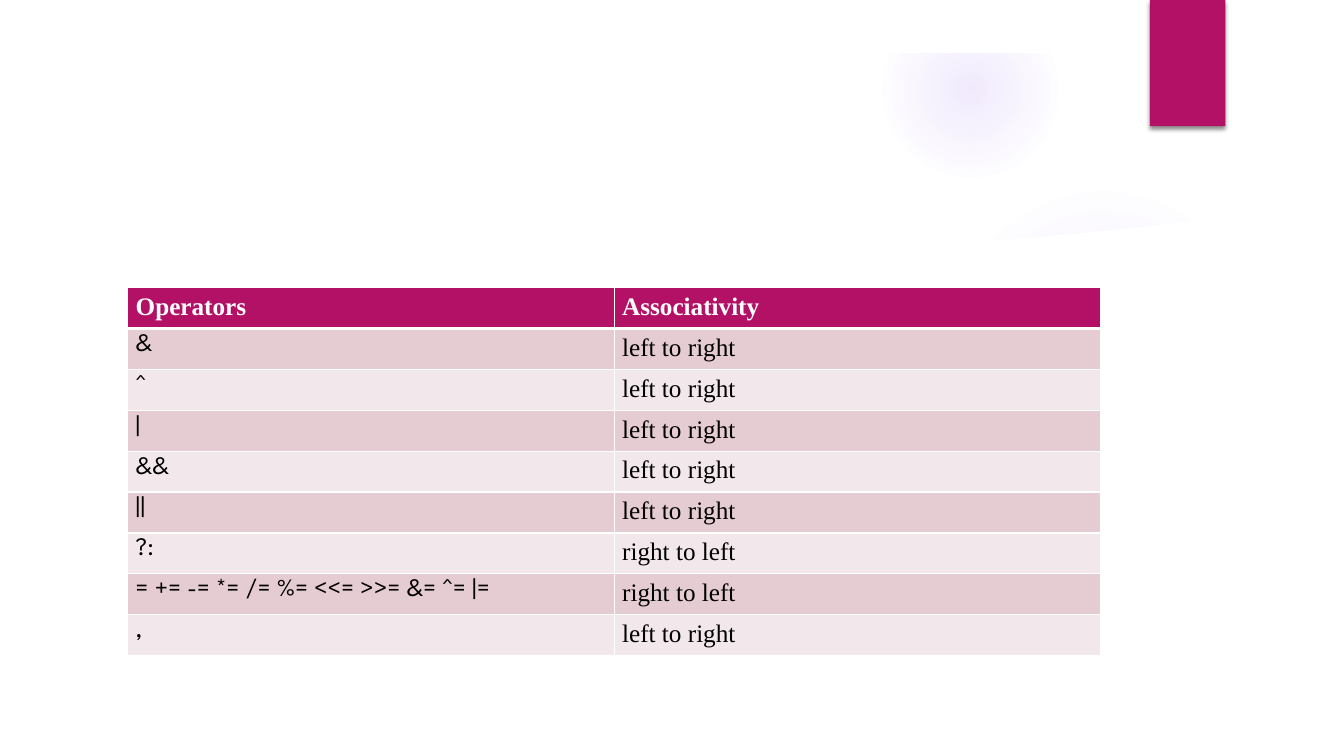
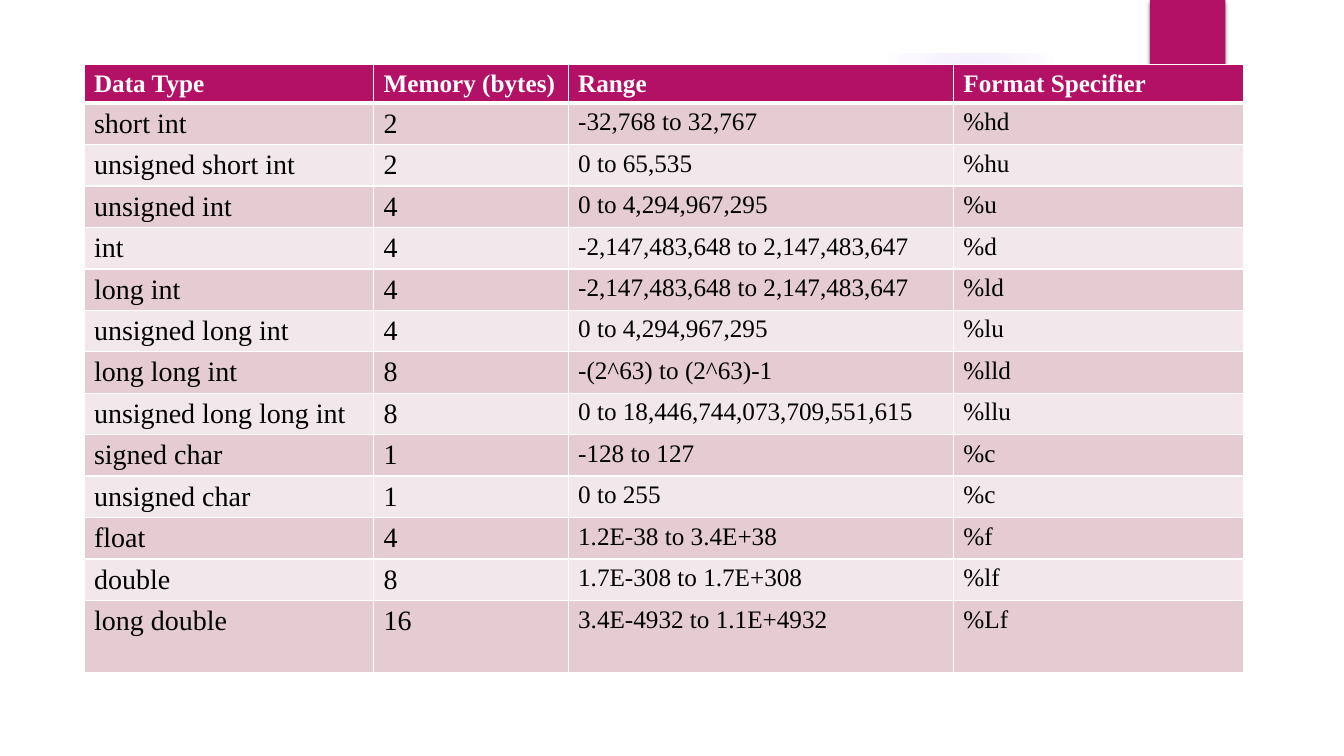
from dataclasses import dataclass
from typing import NamedTuple

from pptx import Presentation
from pptx import util as u
from pptx.dml.color import RGBColor
from pptx.enum import shapes, text
from pptx.oxml import parse_xml
from pptx.oxml.ns import nsdecls, qn


@dataclass(frozen=True)
class Theme:
    accent: str = "B31166"
    glow: str = "9B6BF2"
    paper: str = "FFFFFF"
    ink: str = "000000"
    bands: tuple[str, str] = ("E5CCD3", "F2E7EA")
    serif: str = "Times New Roman"
    symbol: str = "League Spartan"
    body: float = 18
    large: float = 20
    thin_rule: float = 1
    thick_rule: float = 3


THEME = Theme()
PAGE_WIDTH, PAGE_HEIGHT = 33.87, 19.05  # all lengths in centimetres


class Glow(NamedTuple):
    left: float
    top: float
    size: float
    stops: tuple[tuple[int, int], ...]  # position and opacity, in percent


class Column(NamedTuple):
    heading: str
    width: float
    size: float = THEME.body
    font: str = THEME.serif


@dataclass(frozen=True)
class TableSpec:
    left: float
    top: float
    side_margin: float
    row_heights: list[float]
    columns: list[Column]
    rows: list[tuple[str, ...]]


GLOWS = [
    Glow(23.9, 4.65, 7.82, ((0, 7), (36, 6), (69, 0))),
    Glow(22.23, 0.03, 4.45, ((0, 14), (36, 7), (73, 0))),
]
PANEL_OUTLINE = [
    (1.27, 5.18), (4.75, 5.77), (9.14, 6.05), (14.9, 6.27), (19, 6.3),
    (23.37, 6.15), (24.79, 6.07), (26.21, 5.97), (27.64, 5.84), (29.06, 5.69),
    (30.48, 5.51), (31.9, 5.31), (32.61, 5.18), (32.61, 17.78), (1.27, 17.78),
]

LEFT_TO_RIGHT, RIGHT_TO_LEFT = "left to right", "right to left"
OPERATORS = TableSpec(
    left=3.22, top=7.25, side_margin=0.2, row_heights=[1.03] * 9,
    columns=[
        Column("Operators", 12.26, font=THEME.symbol),
        Column("Associativity", 12.26),
    ],
    rows=[
        ("&", LEFT_TO_RIGHT),
        ("^", LEFT_TO_RIGHT),
        ("|", LEFT_TO_RIGHT),
        ("&&", LEFT_TO_RIGHT),
        ("||", LEFT_TO_RIGHT),
        ("?:", RIGHT_TO_LEFT),
        ("= += -= *= /= %= <<= >>= &= ^= |=", RIGHT_TO_LEFT),
        (",", LEFT_TO_RIGHT),
    ],
)
DATA_TYPES = TableSpec(
    left=2.12, top=1.63, side_margin=0.25,
    row_heights=[0.97] + [1.04] * 12 + [1.82],
    columns=[
        Column("Data Type", 7.3, THEME.large),
        Column("Memory (bytes)", 4.9, THEME.large),
        Column("Range", 9.71),
        Column("Format Specifier", 7.3),
    ],
    rows=[
        ("short int", "2", "-32,768 to 32,767", "%hd"),
        ("unsigned short int", "2", "0 to 65,535", "%hu"),
        ("unsigned int", "4", "0 to 4,294,967,295", "%u"),
        ("int", "4", "-2,147,483,648 to 2,147,483,647", "%d"),
        ("long int", "4", "-2,147,483,648 to 2,147,483,647", "%ld"),
        ("unsigned long int", "4", "0 to 4,294,967,295", "%lu"),
        ("long long int", "8", "-(2^63) to (2^63)-1", "%lld"),
        ("unsigned long long int", "8", "0 to 18,446,744,073,709,551,615", "%llu"),
        ("signed char", "1", "-128 to 127", "%c"),
        ("unsigned char", "1", "0 to 255", "%c"),
        ("float", "4", "1.2E-38 to 3.4E+38", "%f"),
        ("double", "8", "1.7E-308 to 1.7E+308", "%lf"),
        ("long double", "16", "3.4E-4932 to 1.1E+4932", "%Lf"),
    ],
)


def paint(shape, color: str) -> None:
    """Give the shape a flat fill with no outline or shadow."""
    shape.fill.solid()
    shape.fill.fore_color.rgb = RGBColor.from_string(color)
    shape.line.fill.background()
    shape.shadow.inherit = False


def add_block(page, kind, left: float, top: float, width: float, height: float,
              color: str):
    shape = page.shapes.add_shape(
        kind, u.Cm(left), u.Cm(top), u.Cm(width), u.Cm(height))
    paint(shape, color)
    return shape


def add_glow(page, glow: Glow) -> None:
    shape = add_block(page, shapes.MSO_SHAPE.OVAL, glow.left, glow.top,
                      glow.size, glow.size, THEME.glow)
    stops = "".join(
        f'<a:gs pos="{position * 1000}"><a:srgbClr val="{THEME.glow}">'
        f'<a:alpha val="{opacity * 1000}"/></a:srgbClr></a:gs>'
        for position, opacity in glow.stops)
    gradient = parse_xml(
        f'<a:gradFill {nsdecls("a")} rotWithShape="1"><a:gsLst>{stops}</a:gsLst>'
        '<a:path path="circle"><a:fillToRect l="50000" t="50000" r="50000" b="50000"/>'
        '</a:path></a:gradFill>')
    properties = shape._element.spPr
    properties.replace(properties.find(qn("a:solidFill")), gradient)


def add_panel(page) -> None:
    """Draw the white sheet whose curved top edge cuts the lower glow."""
    points = [(x * 100, y * 100) for x, y in PANEL_OUTLINE]
    builder = page.shapes.build_freeform(*points[0], scale=u.Cm(0.01))
    builder.add_line_segments(points[1:], close=True)
    paint(builder.convert_to_shape(), THEME.paper)


def add_tab(page) -> None:
    tab = add_block(page, shapes.MSO_SHAPE.RECTANGLE, 28.98, 0, 1.9, 3.18,
                    THEME.accent)
    effects = tab._element.spPr.find(qn("a:effectLst"))
    effects.append(parse_xml(
        f'<a:outerShdw {nsdecls("a")} blurRad="{u.Cm(0.11)}" dist="{u.Cm(0.07)}" '
        f'dir="5400000" rotWithShape="0"><a:srgbClr val="{THEME.ink}">'
        '<a:alpha val="45000"/></a:srgbClr></a:outerShdw>'))


def add_backdrop(page) -> None:
    for glow in GLOWS:
        add_glow(page, glow)
    add_panel(page)
    frame = add_block(page, shapes.MSO_SHAPE.FRAME, 0, 0, PAGE_WIDTH, PAGE_HEIGHT,
                      THEME.paper)
    frame.adjustments[0] = 0.07
    add_tab(page)


def set_borders(cell, widths: dict[str, float]) -> None:
    properties = cell._tc.get_or_add_tcPr()
    for index, (side, width) in enumerate(widths.items()):
        properties.insert(index, parse_xml(
            f'<a:ln{side} {nsdecls("a")} w="{u.Pt(width)}"><a:solidFill>'
            f'<a:srgbClr val="{THEME.paper}"/></a:solidFill></a:ln{side}>'))


def fill_cell(cell, words: str, column: Column, row: int, side_margin: float) -> None:
    is_header = row == 0
    layout = {
        "margin_left": u.Cm(side_margin), "margin_right": u.Cm(side_margin),
        "margin_top": u.Cm(0.13), "margin_bottom": u.Cm(0.13),
        "vertical_anchor": text.MSO_ANCHOR.TOP,
    }
    for name, value in layout.items():
        setattr(cell, name, value)
    cell.fill.solid()
    fill = THEME.accent if is_header else THEME.bands[(row - 1) % 2]
    cell.fill.fore_color.rgb = RGBColor.from_string(fill)
    set_borders(cell, {
        "L": THEME.thin_rule, "R": THEME.thin_rule,
        "T": THEME.thick_rule if row == 1 else THEME.thin_rule,
        "B": THEME.thick_rule if is_header else THEME.thin_rule,
    })
    span = cell.text_frame.paragraphs[0].add_run()
    span.text = words
    style = {
        "name": THEME.serif if is_header else column.font,
        "size": u.Pt(THEME.body if is_header else column.size),
        "bold": is_header,
    }
    for name, value in style.items():
        setattr(span.font, name, value)
    span.font.color.rgb = RGBColor.from_string(
        THEME.paper if is_header else THEME.ink)


def add_data_table(page, table_spec: TableSpec) -> None:
    columns, heights = table_spec.columns, table_spec.row_heights
    table = page.shapes.add_table(
        len(heights), len(columns), u.Cm(table_spec.left), u.Cm(table_spec.top),
        u.Cm(sum(column.width for column in columns)), u.Cm(sum(heights))).table
    for table_column, column in zip(table.columns, columns):
        table_column.width = u.Cm(column.width)
    headings = tuple(column.heading for column in columns)
    for row, values in enumerate([headings, *table_spec.rows]):
        table.rows[row].height = u.Cm(heights[row])
        for index, (words, column) in enumerate(zip(values, columns)):
            fill_cell(table.cell(row, index), words, column, row,
                      table_spec.side_margin)


def main() -> None:
    deck = Presentation()
    deck.slide_width, deck.slide_height = u.Cm(PAGE_WIDTH), u.Cm(PAGE_HEIGHT)
    blank = deck.slide_layouts[6]
    for table_spec in (OPERATORS, DATA_TYPES):
        page = deck.slides.add_slide(blank)
        add_backdrop(page)
        add_data_table(page, table_spec)
    deck.save("out.pptx")


if __name__ == "__main__":
    main()
